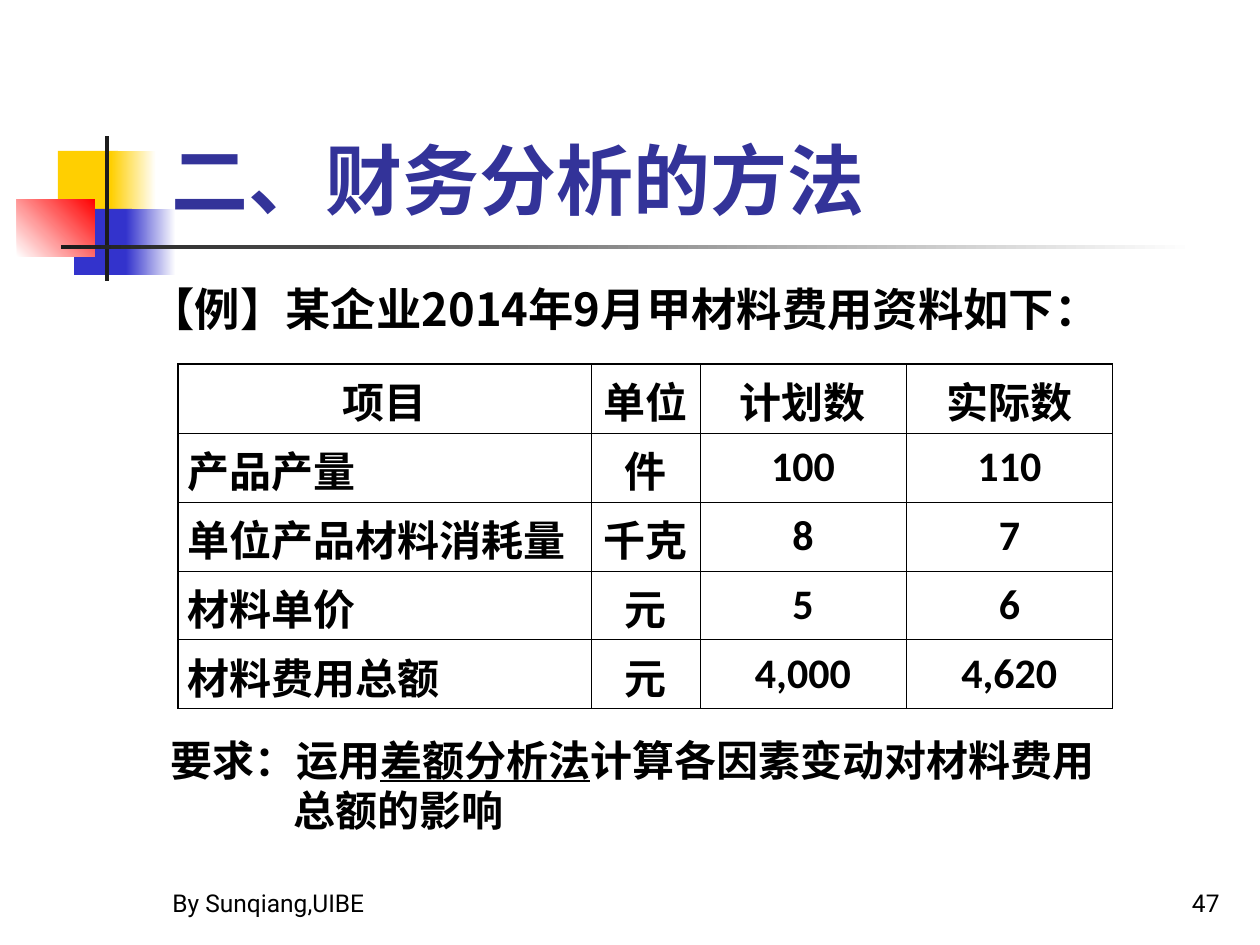
from lxml.etree import SubElement
from pptx import Presentation
from pptx.dml.color import RGBColor
from pptx.enum.shapes import MSO_SHAPE
from pptx.enum.text import MSO_ANCHOR, PP_ALIGN
from pptx.oxml.ns import qn
from pptx.util import Emu, Pt


def px(length):
    """Turn a length at 126 px to the inch into EMU."""
    return Emu(round(length * 914400 / 126))


def write(frame, text, size=24, font="Arial", east_asian=None, color="000000",
          bold=True, underline=False, align=PP_ALIGN.LEFT, spacing=None):
    """Append a run to the first paragraph of the frame."""
    paragraph = frame.paragraphs[0]
    paragraph.alignment = align
    if spacing:
        paragraph.line_spacing = spacing
    run = paragraph.add_run()
    run.text = text
    run.font.size = Pt(size)
    run.font.name = font
    run.font.bold = bold
    run.font.underline = underline
    run.font.color.rgb = RGBColor.from_string(color)
    SubElement(run.font._element, qn("a:ea"), typeface=east_asian or font)


presentation = Presentation()
presentation.slide_width, presentation.slide_height = px(1260), px(945)
slide = presentation.slides.add_slide(presentation.slide_layouts[6])

# Decoration: left, top, width, height, colours from start to end, angle
decoration = [
    (58, 151, 60, 66, ["FFCF01"], 0),
    (111, 151, 45, 66, ["FFCF01", "FFFFFF"], 0),
    (74, 209, 58, 66, ["3333CC"], 0),
    (126, 209, 50, 66, ["3333CC", "FFFFFF"], 0),
    (17, 199, 78, 58, ["FFFFFF", "FF0000"], 45),
    (105, 136, 4, 145, ["1C1C1C"], 0),
    (61, 245, 1134, 4, ["1C1C1C", "FFFFFF"], 0),
]
for left, top, width, height, colors, angle in decoration:
    shape = slide.shapes.add_shape(
        MSO_SHAPE.RECTANGLE, px(left), px(top), px(width), px(height))
    shape.shadow.inherit = False
    shape.line.fill.background()
    if len(colors) == 1:
        shape.fill.solid()
        shape.fill.fore_color.rgb = RGBColor.from_string(colors[0])
    else:
        shape.fill.gradient()
        shape.fill.gradient_angle = angle
        for stop, color in zip(shape.fill.gradient_stops, colors):
            stop.color.rgb = RGBColor.from_string(color)

# Text boxes
boxes = {
    "title": (159, 29, 1074, 202, MSO_ANCHOR.BOTTOM),
    "example": (137, 273, 1038, 91, MSO_ANCHOR.TOP),
    "footer": (160, 861, 262, 63, MSO_ANCHOR.BOTTOM),
    "number": (970, 861, 262, 63, MSO_ANCHOR.BOTTOM),
    "task": (158, 728, 955, 113, MSO_ANCHOR.TOP),
}
frames = {}
for name, (left, top, width, height, anchor) in boxes.items():
    box = slide.shapes.add_textbox(px(left), px(top), px(width), px(height))
    frames[name] = box.text_frame
    frames[name].word_wrap = True
    frames[name].vertical_anchor = anchor

write(frames["title"], "二、财务分析的方法", size=44, font="Roboto",
      color="333399", spacing=1.15)
write(frames["example"], "【例】某企业2014年9月甲材料费用资料如下：", size=25.9,
      font="Noto Sans CJK SC", spacing=1.04)
write(frames["footer"], "By Sunqiang,UIBE", size=14, font="Roboto", bold=False)
write(frames["number"], "47", size=14, font="Roboto", bold=False,
      align=PP_ALIGN.RIGHT)
write(frames["task"], "要求：运用")
write(frames["task"], "差额分析法", underline=True)
write(frames["task"], "计算各因素变动对材料费用总额的影响")
task_properties = frames["task"].paragraphs[0]._p.get_or_add_pPr()
task_properties.set("marL", str(px(123)))
task_properties.set("indent", str(-px(123)))

# Cost table
rows = [
    ("项目", "单位", "计划数", "实际数"),
    ("产品产量", "件", "100", "110"),
    ("单位产品材料消耗量", "千克", "8", "7"),
    ("材料单价", "元", "5", "6"),
    ("材料费用总额", "元", "4,000", "4,620"),
]
column_widths = [413, 109, 206, 207]
row_height = 69
last_row, last_column = len(rows) - 1, len(column_widths) - 1
table = slide.shapes.add_table(
    len(rows), len(column_widths), px(178), px(364),
    px(sum(column_widths)), px(row_height * len(rows))).table
table.first_row = table.horz_banding = False
for column, width in zip(table.columns, column_widths):
    column.width = px(width)

for r, row in enumerate(rows):
    table.rows[r].height = px(row_height)
    for c, text in enumerate(row):
        cell = table.cell(r, c)
        cell.vertical_anchor = MSO_ANCHOR.MIDDLE
        cell.margin_left = cell.margin_right = px(10)
        cell.margin_top = cell.margin_bottom = px(6)
        is_label = r > 0 and c == 0
        write(cell.text_frame, text, font="Calibri",
              east_asian="Noto Sans CJK SC",
              align=PP_ALIGN.JUSTIFY if is_label else PP_ALIGN.CENTER)
        outer_edges = {"lnL": c == 0, "lnR": c == last_column,
                       "lnT": r == 0, "lnB": r == last_row}
        cell_properties = cell._tc.get_or_add_tcPr()
        for edge, is_outer in outer_edges.items():
            line = SubElement(cell_properties, qn(f"a:{edge}"),
                              w=str(Pt(0.75 if is_outer else 0.45)))
            line_fill = SubElement(line, qn("a:solidFill"))
            SubElement(line_fill, qn("a:srgbClr"), val="000000")
        cell.fill.background()

presentation.save("out.pptx")
